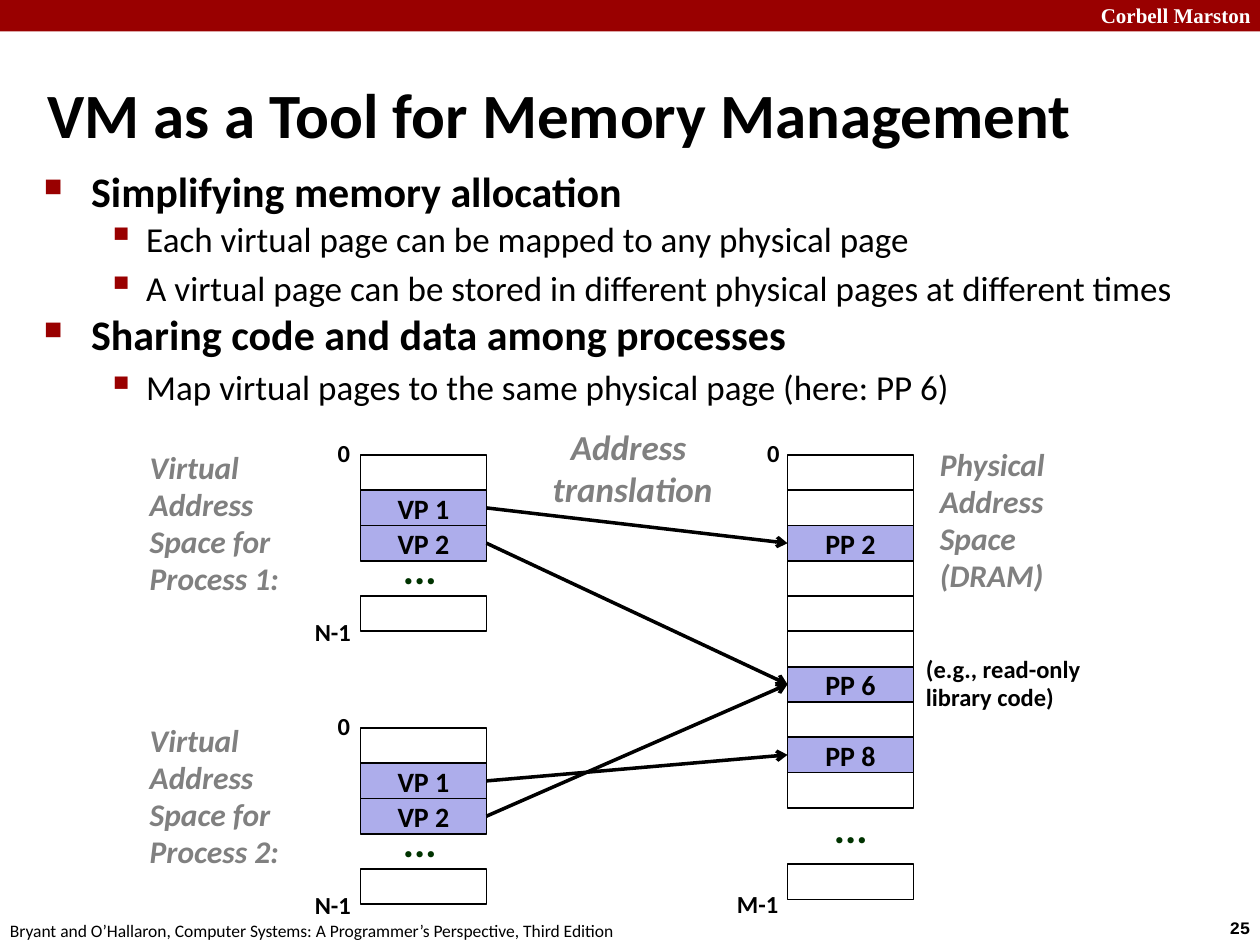
"""Build a slide on virtual memory as a tool for memory management."""
import pptx
import pptx.dml.color
import pptx.enum.shapes
import pptx.enum.text
import pptx.oxml
import pptx.oxml.ns
import pptx.util

Pt = pptx.util.Pt
RGBColor = pptx.dml.color.RGBColor
ALIGN = pptx.enum.text.PP_ALIGN
ANCHOR = pptx.enum.text.MSO_ANCHOR
AUTO_SIZE = pptx.enum.text.MSO_AUTO_SIZE
RECTANGLE = pptx.enum.shapes.MSO_SHAPE.RECTANGLE
STRAIGHT = pptx.enum.shapes.MSO_CONNECTOR.STRAIGHT
NS = pptx.oxml.ns.nsdecls("a")

BLACK = RGBColor(0, 0, 0)
WHITE = RGBColor(255, 255, 255)
RED = RGBColor(0x99, 0, 0)
GRAY = RGBColor(0x80, 0x80, 0x80)
GREEN = RGBColor(0, 0x33, 0)
LAVENDER = RGBColor(0xAD, 0xAD, 0xEB)

PAGE_WIDTH, PAGE_HEIGHT = 72, 20.16
VIRTUAL_LEFT, PHYSICAL_LEFT = 206, 450
MEMORY_TOP = 260
PROCESS_GAP = 156


def write(frame, text, size=14, color=BLACK, bold=True, italic=False,
          font="Calibri", align=ALIGN.LEFT, spacing=None, before=None):
    """Append text to the frame, one paragraph a line, and return the last."""
    for line in text.split("\n"):
        paragraph = frame.paragraphs[-1]
        if paragraph.runs:
            paragraph = frame.add_paragraph()
        paragraph.alignment = align
        paragraph.line_spacing = spacing
        paragraph.space_before = None if before is None else Pt(before)
        run = paragraph.add_run()
        run.text = line
        run.font.name = font
        run.font.size = Pt(size)
        run.font.bold = bold
        run.font.italic = italic
        run.font.color.rgb = color
    return paragraph


def add_frame(left, top, width, height, wrap=False, grow=True):
    """Add a text box and return its text frame."""
    box = slide.shapes.add_textbox(Pt(left), Pt(top), Pt(width), Pt(height))
    frame = box.text_frame
    frame.word_wrap = wrap
    frame.auto_size = AUTO_SIZE.SHAPE_TO_FIT_TEXT if grow else AUTO_SIZE.NONE
    return frame


deck = pptx.Presentation()
deck.slide_width, deck.slide_height = Pt(720), Pt(540)
slide = deck.slides.add_slide(deck.slide_layouts[6])

banner = slide.shapes.add_shape(RECTANGLE, Pt(0), Pt(0), Pt(720), Pt(18))
banner.shadow.inherit = False
banner.fill.solid()
banner.fill.fore_color.rgb = RED
banner.line.fill.background()
write(add_frame(622, -2, 103, 21.6, wrap=True), "Corbell Marston",
      size=12, color=WHITE, font="Times New Roman")
write(add_frame(695.5, 520.5, 32, 19.4), "25", size=10, font="Courier New")
write(add_frame(-1.4, 522, 366, 19.4),
      "Bryant and O’Hallaron, Computer Systems: A Programmer’s Perspective, Third Edition",
      size=10, bold=False)

title = add_frame(20, 41.8, 678, 45.4, wrap=True, grow=False)
title.vertical_anchor = ANCHOR.MIDDLE
write(title, "VM as a Tool for Memory Management", size=36)

points = [
    (0, 0.83, "Simplifying memory allocation"),
    (1, 0.88, "Each virtual page can be mapped to any physical page"),
    (1, None, "A virtual page can be stored in different physical pages at different times"),
    (0, 0.83, "Sharing code and data among processes"),
    (1, None, "Map virtual pages to the same physical page (here: PP 6)"),
]
bullet_styles = [
    {"size": 24, "margin": 27, "hanging": 27, "mark": "■", "scale": 60},
    {"size": 20, "margin": 58.5, "hanging": 22.5, "mark": "▪", "scale": 110},
]
body = add_frame(18, 95.8, 690, 150, wrap=True, grow=False)
for level, spacing, text in points:
    style = bullet_styles[level]
    point = write(body, text, size=style["size"], bold=level == 0,
                  spacing=spacing, before=style["size"] * 0.2)
    point.level = level
    properties = point._p.get_or_add_pPr()
    properties.set("marL", str(Pt(style["margin"])))
    properties.set("indent", str(-Pt(style["hanging"])))
    for xml in (f'<a:buClr {NS}><a:srgbClr val="{RED}"/></a:buClr>',
                f'<a:buSzPct {NS} val="{style["scale"] * 1000}"/>',
                f'<a:buChar {NS} char="{style["mark"]}"/>'):
        properties.append(pptx.oxml.parse_xml(xml))

virtual_rows = {0: "", 1: "VP 1", 2: "VP 2", 4: ""}
physical_rows = {row: "" for row in range(10)}
physical_rows.update({2: "PP 2", 6: "PP 6", 8: "PP 8", 11.6: ""})
second_top = MEMORY_TOP + PROCESS_GAP
memories = [
    ("Process 1", VIRTUAL_LEFT, MEMORY_TOP, virtual_rows),
    ("Process 2", VIRTUAL_LEFT, second_top, virtual_rows),
    ("DRAM", PHYSICAL_LEFT, MEMORY_TOP, physical_rows),
]
pages = {}
for memory, left, top, rows in memories:
    for row, text in rows.items():
        page = slide.shapes.add_shape(RECTANGLE, Pt(left), Pt(top + row * PAGE_HEIGHT),
                                      Pt(PAGE_WIDTH), Pt(PAGE_HEIGHT))
        page.shadow.inherit = False
        page.line.color.rgb = BLACK
        page.line.width = Pt(1)
        if text:
            page.fill.solid()
            page.fill.fore_color.rgb = LAVENDER
            page.text_frame.vertical_anchor = ANCHOR.MIDDLE
            write(page.text_frame, text, size=16, align=ALIGN.CENTER)
            pages[memory, text] = page
        else:
            page.fill.background()

labels = [
    ("0", 431.3, 247.7, 22.3),
    ("M-1", 414, 505.4, 38.2),
]
ellipses = [(469.5, 458)]
for process, top in enumerate((MEMORY_TOP, second_top), start=1):
    write(add_frame(78.5, top - 6.5, 108, 92.2, wrap=True),
          f"Virtual Address Space for Process {process}:",
          size=18, color=GRAY, italic=True, spacing=0.98)
    labels += [("0", 185.8, top - 12.3, 22.3), ("N-1", 172.8, top + 90, 35.3)]
    ellipses.append((223.2, top + 50.3))
for text, left, top, width in labels:
    write(add_frame(left, top, width, 23.8), text, spacing=0.98)
for left, top in ellipses:
    write(add_frame(left, top, 33.8, 32.4), "...", size=24, color=GREEN,
          spacing=0.88, before=9)

write(add_frame(530, 252, 84.2, 92.9, wrap=True), "Physical\nAddress\nSpace (DRAM)",
      size=18, color=GRAY, italic=True, spacing=0.98)
write(add_frame(522, 370.8, 114.5, 40.3, wrap=True),
      "(e.g., read-only\nlibrary code)", spacing=0.98)

mappings = [
    ("Process 1", "VP 1", "PP 2"),
    ("Process 1", "VP 2", "PP 6"),
    ("Process 2", "VP 2", "PP 6"),
    ("Process 2", "VP 1", "PP 8"),
]
for process, virtual_page, physical_page in mappings:
    mapping = slide.shapes.add_connector(STRAIGHT, 0, 0, 0, 0)
    mapping.begin_connect(pages[process, virtual_page], 3)
    mapping.end_connect(pages["DRAM", physical_page], 1)
    mapping.line.color.rgb = BLACK
    mapping.line.width = Pt(2)
    mapping.line._get_or_add_ln().append(
        pptx.oxml.parse_xml(f'<a:tailEnd {NS} type="arrow"/>'))
    mapping._element.spPr.append(pptx.oxml.parse_xml(f"<a:effectLst {NS}/>"))

write(add_frame(308.2, 239.8, 106.6, 55.4), "Address \ntranslation", size=20,
      color=GRAY, italic=True, align=ALIGN.CENTER)

deck.save("out.pptx")
